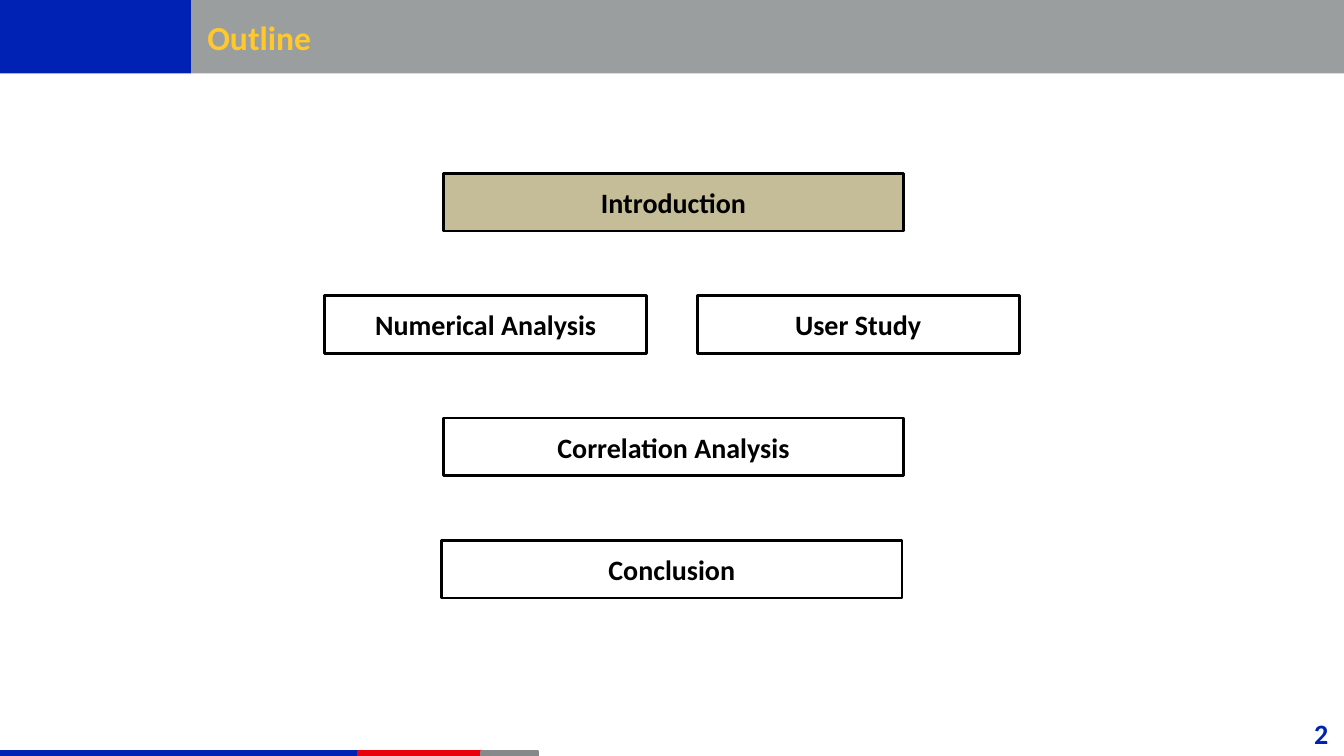
from dataclasses import dataclass
from typing import Optional

from lxml.etree import SubElement
from pptx import Presentation
from pptx.dml.color import RGBColor as Rgb
from pptx.enum.shapes import MSO_SHAPE as Shape
from pptx.enum.text import MSO_ANCHOR as Anchor, PP_ALIGN as Align
from pptx.oxml.ns import qn
from pptx.util import Pt

BLUE = Rgb(0x00, 0x22, 0xB4)
RED = Rgb(0xE8, 0x00, 0x0D)
GREY = Rgb(0x85, 0x89, 0x8A)
GOLD = Rgb(0xFF, 0xC8, 0x2D)
TAN = Rgb(0xC4, 0xBD, 0x97)
WHITE = Rgb(0xFF, 0xFF, 0xFF)
BLACK = Rgb(0x00, 0x00, 0x00)

WIDTH, HEIGHT = 960, 540
HEAD = 52.4
SIDE = 136.8
TOP, PITCH = 123.8, 87.4
TALL = 41.2
WIDE, HALF = 329, 230


@dataclass
class Box:
    left: float
    top: float
    width: float
    height: float
    fill: Rgb
    line: Optional[Rgb] = None
    alpha: int = 100


@dataclass
class Label:
    text: str
    size: int
    color: Rgb
    align: Align


@dataclass
class Topic:
    text: str
    row: int
    left: float
    width: float
    fill: Rgb = WHITE


BARS = [
    Box(0, 536.4, 256, 3.6, BLUE, BLUE),
    Box(256, 536.4, 95.8, 3.6, RED, RED),
    Box(344, 536.4, 40.3, 3.6, GREY, GREY),
    Box(SIDE, 0, WIDTH - SIDE, HEAD, GREY, alpha=82),
    Box(0, 0, SIDE, HEAD, BLUE),
]
TOPICS = [
    Topic("Introduction", 0, 316.6, WIDE, TAN),
    Topic("Numerical Analysis", 1, 232, HALF),
    Topic("User Study", 1, 498, HALF),
    Topic("Correlation Analysis", 2, 316.6, WIDE),
    Topic("Conclusion", 3, 315.4, WIDE),
]


def write(shape, label: Label) -> None:
    frame = shape.text_frame
    frame.word_wrap = True
    frame.vertical_anchor = Anchor.MIDDLE
    para = frame.paragraphs[0]
    para.alignment = label.align
    run = para.add_run()
    run.text = label.text
    look = {"name": "Calibri", "size": Pt(label.size), "bold": True}
    for key, value in look.items():
        setattr(run.font, key, value)
    run.font.color.rgb = label.color


def draw(slide, box: Box):
    area = [Pt(v) for v in (box.left, box.top, box.width, box.height)]
    shape = slide.shapes.add_shape(Shape.RECTANGLE, *area)
    shape.shadow.inherit = False
    shape.fill.solid()
    shape.fill.fore_color.rgb = box.fill
    if box.alpha < 100:
        color = shape.fill._xPr.find(qn("a:solidFill"))[0]
        SubElement(color, qn("a:alpha"), val=str(box.alpha * 1000))
    if box.line is None:
        shape.line.fill.background()
    else:
        shape.line.color.rgb = box.line
        shape.line.width = Pt(2)
    return shape


def note(slide, left: float, top: float, width: float, height: float,
         label: Label) -> None:
    area = [Pt(v) for v in (left, top, width, height)]
    write(slide.shapes.add_textbox(*area), label)


def main() -> None:
    deck = Presentation()
    deck.slide_width, deck.slide_height = Pt(WIDTH), Pt(HEIGHT)
    slide = deck.slides.add_slide(deck.slide_layouts[6])
    for bar in BARS:
        draw(slide, bar)
    note(slide, 141, 4.3, 629, 44, Label("Outline", 24, GOLD, Align.LEFT))
    for topic in TOPICS:
        top = TOP + topic.row * PITCH
        box = Box(topic.left, top, topic.width, TALL, topic.fill, BLACK)
        write(draw(slide, box), Label(topic.text, 20, BLACK, Align.CENTER))
    note(slide, 851, 509, 105, 29, Label("2", 20, BLUE, Align.RIGHT))
    deck.save("out.pptx")


if __name__ == "__main__":
    main()
